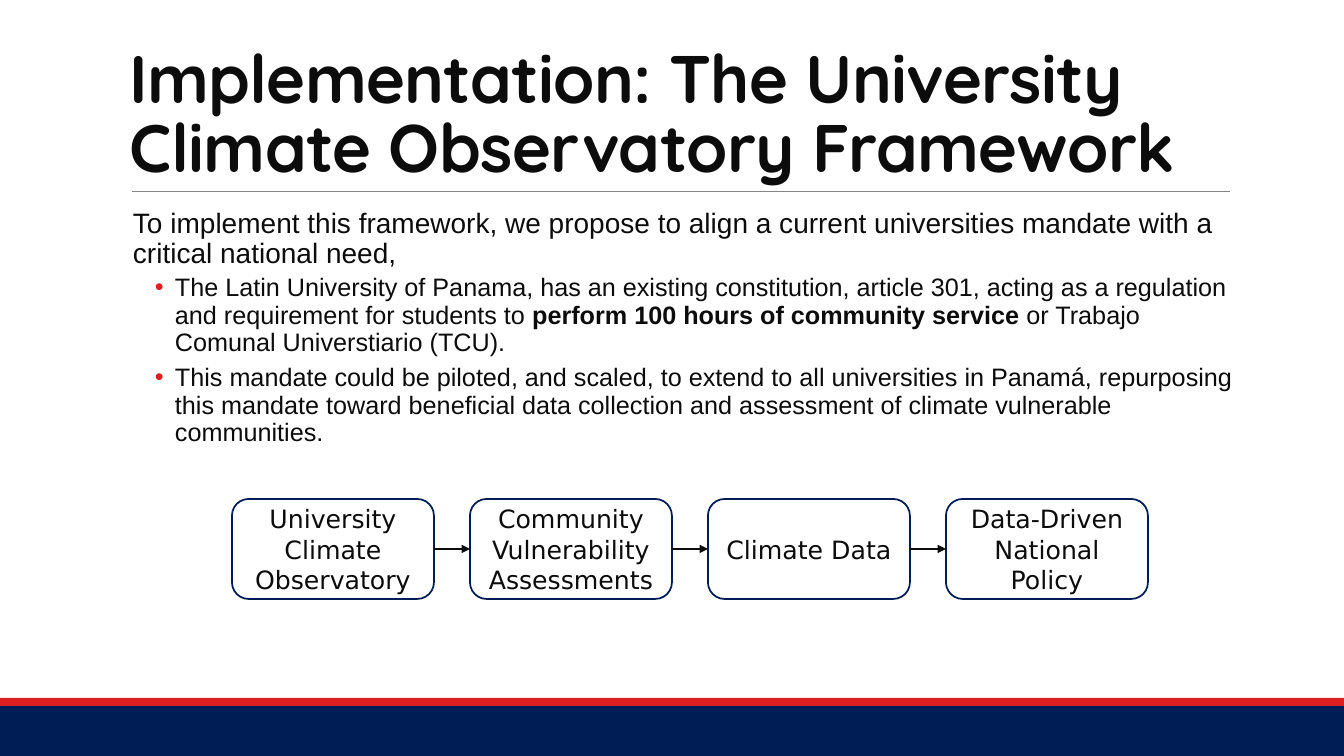
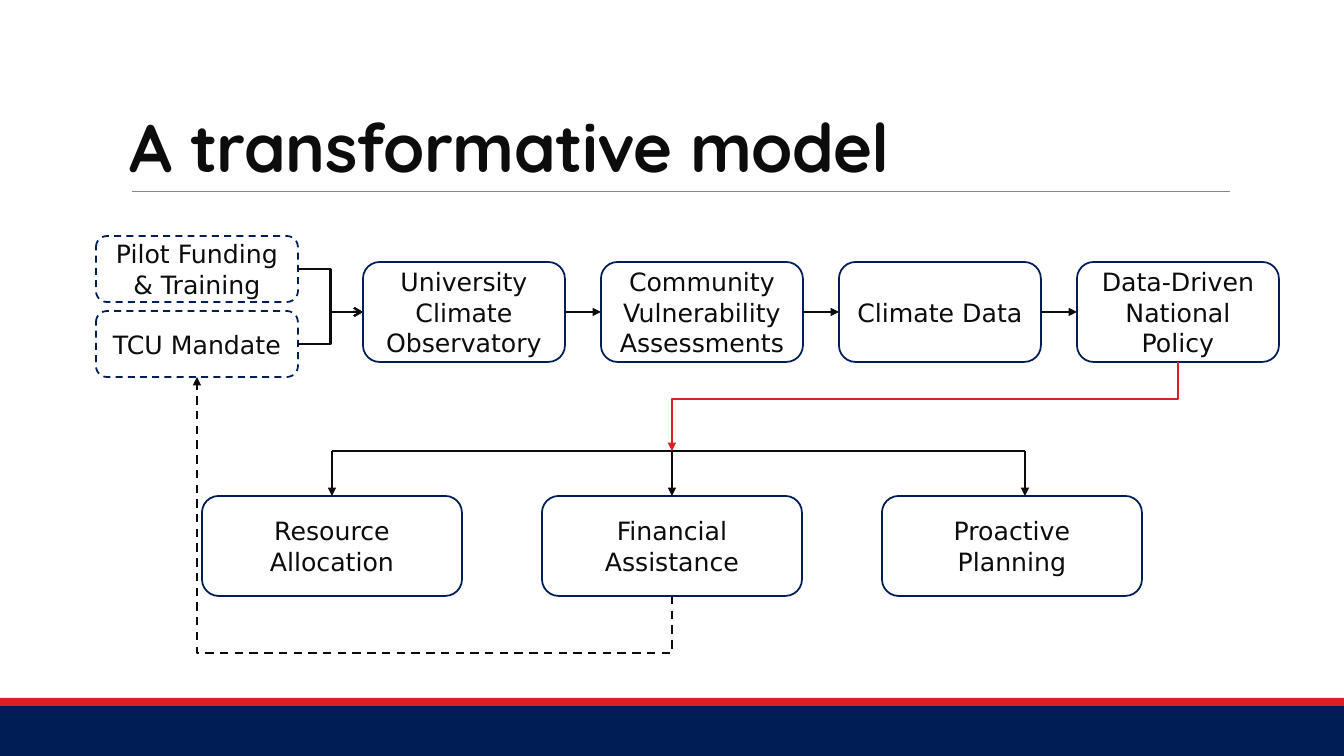
from itertools import pairwise

from lxml.etree import SubElement
from pptx import Presentation
from pptx.dml.color import RGBColor
from pptx.enum.dml import MSO_LINE_DASH_STYLE as Dash
from pptx.enum.shapes import MSO_CONNECTOR as Link, MSO_SHAPE as Shape
from pptx.enum.text import MSO_ANCHOR as Anchor, PP_ALIGN as Align
from pptx.oxml.ns import qn
from pptx.util import Emu, Pt

# Shared look
NAVY, RED, INK, GREY, WHITE = "001D56", "DB2024", "0C0C0C", "868686", "FFFFFF"
WIDTH, HEIGHT = 1344, 756
TITLE_FONT = {"name": "Quicksand", "size": Pt(48), "bold": True}
LEAD_FONT = {"name": "Arial", "size": Pt(20)}
POINT_FONT = {"name": "Arial", "size": Pt(18)}
BOX_FONT = {"name": "DejaVu Sans", "size": Pt(18)}
LEAD_SPACING = {"line_spacing": 0.9, "space_after": Pt(2)}
POINT_SPACING = {"line_spacing": 0.9, "space_before": Pt(2), "space_after": Pt(4)}

# Connection sites of a box
TOP, LEFT, BOTTOM, RIGHT = range(4)

# Process shown on both slides
STEPS = ["University Climate Observatory", "Community Vulnerability Assessments",
         "Climate Data", "Data-Driven National Policy"]
STEP_PITCH, STEP_WIDTH, BOX_HEIGHT = 238, 202, 100


def px(length):
    return Emu(round(length * 914400 / 100.8))


def color(value):
    return RGBColor.from_string(value)


def apply(target, values):
    for name, value in values.items():
        setattr(target, name, value)


def add_run(paragraph, text, font):
    run = paragraph.add_run()
    run.text = text
    apply(run.font, font)
    run.font.color.rgb = color(INK)
    return run


def style_line(line, hue, points, dash=None):
    line.color.rgb = color(hue)
    line.width = Pt(points)
    if dash:
        line.dash_style = dash


def add_head(shape, head):
    SubElement(shape.element.spPr.find(qn("a:ln")), qn("a:tailEnd"), type=head)


def add_text_box(slide, left, top, width, height, **frame_format):
    frame = slide.shapes.add_textbox(px(left), px(top), px(width), px(height)).text_frame
    apply(frame, {"word_wrap": True, **frame_format})
    return frame


def add_band(slide, top, height, hue):
    band = slide.shapes.add_shape(Shape.RECTANGLE, 0, px(top), px(WIDTH), px(height))
    band.shadow.inherit = False
    band.fill.solid()
    band.fill.fore_color.rgb = color(hue)
    band.line.fill.background()


def add_line(slide, start, end, hue=INK, points=1, head=None, kind=Link.STRAIGHT):
    line = slide.shapes.add_connector(kind, *map(px, (*start, *end)))
    style_line(line.line, hue, points)
    if head:
        add_head(line, head)
    SubElement(line.element.spPr, qn("a:effectLst"))
    return line


def join(slide, source, target, **look):
    """Glue a connector from the right of one box to the left of the next."""
    arrow = add_line(slide, (0, 0), (0, 0), **look)
    arrow.begin_connect(source, RIGHT)
    arrow.end_connect(target, LEFT)


def add_route(slide, points, hue, width, dash=None):
    """Draw an angled arrow through the given points."""
    scaled = [(px(x), px(y)) for x, y in points]
    builder = slide.shapes.build_freeform(*scaled[0])
    builder.add_line_segments(scaled[1:], close=False)
    route = builder.convert_to_shape()
    route.shadow.inherit = False
    route.fill.background()
    style_line(route.line, hue, width, dash)
    add_head(route, "triangle")


def add_box(slide, text, left, top, width, height=BOX_HEIGHT, dash=None):
    box = slide.shapes.add_shape(Shape.ROUNDED_RECTANGLE,
                                 px(left), px(top), px(width), px(height))
    box.shadow.inherit = False
    box.fill.solid()
    box.fill.fore_color.rgb = color(WHITE)
    style_line(box.line, NAVY, 1.25, dash)
    frame = box.text_frame
    apply(frame, {"word_wrap": True, "vertical_anchor": Anchor.MIDDLE})
    for index, words in enumerate(text.split("\n")):
        paragraph = frame.add_paragraph() if index else frame.paragraphs[0]
        paragraph.alignment = Align.CENTER
        add_run(paragraph, words, BOX_FONT)
    return box


def add_process(slide, left, top):
    boxes = [add_box(slide, step, left + i * STEP_PITCH, top, STEP_WIDTH)
             for i, step in enumerate(STEPS)]
    for source, target in pairwise(boxes):
        join(slide, source, target, head="triangle")
    return boxes


def add_bullet(paragraph):
    properties = paragraph._p.get_or_add_pPr()
    for name, value in {"marL": px(42), "indent": px(-20), "lvl": 1}.items():
        properties.set(name, str(value))
    tint = SubElement(properties, qn("a:buClr"))
    SubElement(tint, qn("a:srgbClr"), val=RED)
    SubElement(properties, qn("a:buFont"), typeface="Arial")
    SubElement(properties, qn("a:buChar"), char="•")


def add_framed_slide(deck, title):
    slide = deck.slides.add_slide(deck.slide_layouts[6])
    add_band(slide, 706, 50, NAVY)
    add_band(slide, 698, 8, RED)
    add_line(slide, (132, 191), (1230, 191), GREY, 0.5)
    frame = add_text_box(slide, 120, 31, 1109, 160, vertical_anchor=Anchor.BOTTOM)
    heading = frame.paragraphs[0]
    heading.line_spacing = 0.85
    run = add_run(heading, title, TITLE_FONT)
    run.font._element.set("spc", "-50")
    return slide


def build_implementation(deck):
    slide = add_framed_slide(
        deck, "Implementation: The University Climate Observatory Framework")

    # Proposal and its two points; each point is a list of (text, bold)
    body = add_text_box(slide, 133, 204, 1109, 280, margin_left=0, margin_right=0)
    lead = body.paragraphs[0]
    apply(lead, LEAD_SPACING)
    add_run(lead, "To implement this framework, we propose to align a current "
                  "universities mandate with a critical national need,", LEAD_FONT)
    points = [
        [("The Latin University of Panama, has an existing constitution, article 301, "
          "acting as a regulation and requirement for students to ", False),
         ("perform 100 hours of community service", True),
         (" or Trabajo Comunal Universtiario (TCU).", False)],
        [("This mandate could be piloted, and scaled, to extend to all universities in "
          "Panamá, repurposing this mandate toward beneficial data collection and "
          "assessment of climate vulnerable communities.", False)],
    ]
    for point in points:
        paragraph = body.add_paragraph()
        add_bullet(paragraph)
        apply(paragraph, POINT_SPACING)
        for text, bold in point:
            add_run(paragraph, text, {**POINT_FONT, "bold": bold})

    add_process(slide, 232, 499)


def build_model(deck):
    slide = add_framed_slide(deck, "A transformative model")

    # Process fed by two inputs
    observatory = add_process(slide, 363, 262)[0]
    for text, top in (("Pilot Funding & Training", 236), ("TCU Mandate", 311)):
        source = add_box(slide, text, 96, top, 202, 66, Dash.DASH)
        join(slide, source, observatory, points=1.5, head="arrow", kind=Link.ELBOW)

    # Outcomes below a shared branch line
    outcomes = ["Resource Allocation", "Financial\nAssistance", "Proactive Planning"]
    branches = [332, 672, 1025]
    branch_top, outcome_top = 451, 496
    for i, (text, x) in enumerate(zip(outcomes, branches)):
        add_box(slide, text, 202 + i * 340, outcome_top, 260)
        add_line(slide, (x, branch_top), (x, outcome_top), head="triangle")
    add_line(slide, (branches[0], branch_top), (branches[-1], branch_top))

    # Policy leads to outcomes, which feed back to the mandate
    middle = branches[1]
    add_route(slide, [(1178, 362), (1178, 399), (middle, 399), (middle, branch_top)], RED, 1)
    add_route(slide, [(middle, outcome_top + BOX_HEIGHT), (middle, 653), (197, 653),
                      (197, 377)], INK, 1.5, Dash.DASH)


def main():
    deck = Presentation()
    apply(deck, {"slide_width": px(WIDTH), "slide_height": px(HEIGHT)})
    build_implementation(deck)
    build_model(deck)
    deck.save("out.pptx")


if __name__ == "__main__":
    main()
